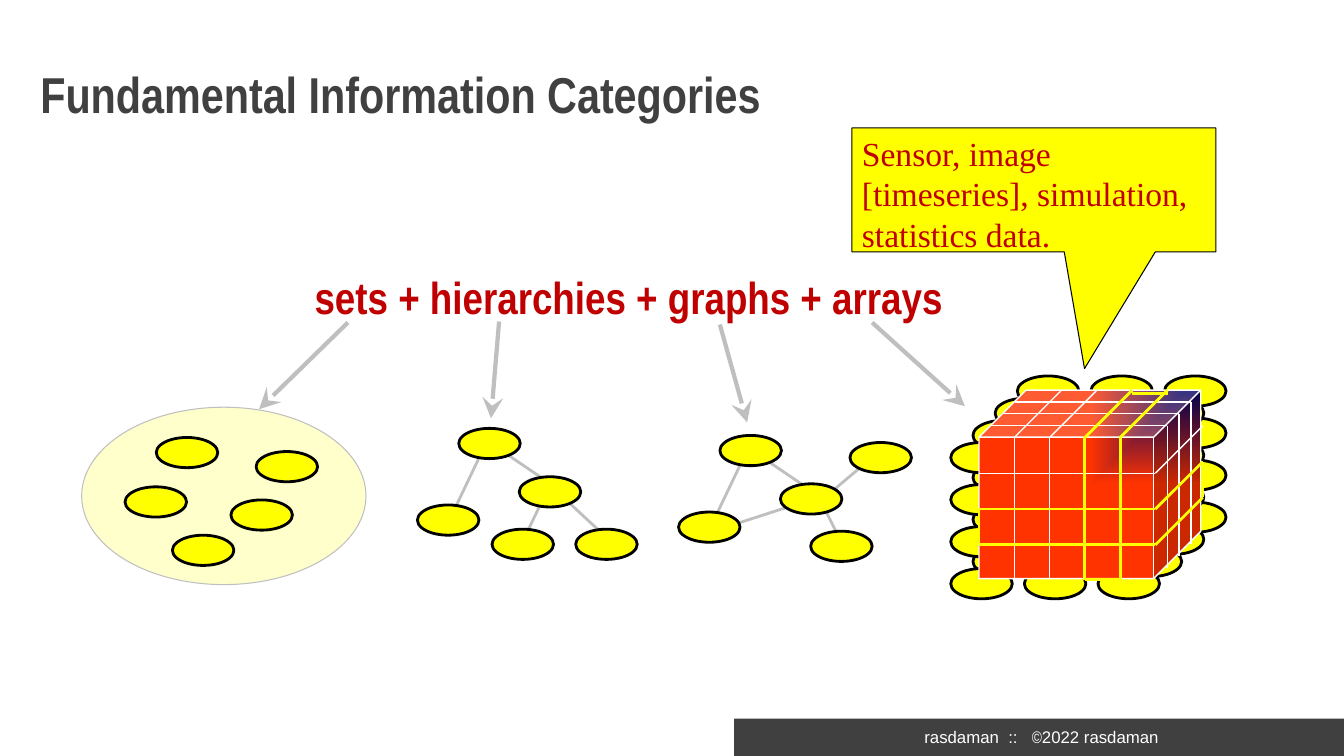
from pptx import Presentation
from pptx.util import Inches, Pt
from pptx.dml.color import RGBColor
from pptx.enum.shapes import MSO_SHAPE as SHAPE, MSO_CONNECTOR as CONN
from pptx.enum.text import MSO_ANCHOR as ANCHOR, PP_ALIGN as ALIGN
from pptx.oxml import parse_xml
from pptx.oxml.ns import qn, nsdecls
from lxml.etree import SubElement

THEME = dict(dark="404040", red="C00000", grey="BFBFBF", yellow="FFFF00",
             pale="FFFFCC", white="FFFFFF", black="000000",
             cube_near="000066", cube_far="FF3300",
             title=36, heading=32, callout=24, footer=12,
             narrow="Arial Narrow", sans="Arial", serif="Times New Roman")

prs = Presentation()
prs.slide_width, prs.slide_height = Inches(13.33), Inches(7.5)
s = prs.slides.add_slide(prs.slide_layouts[6])
CELL = prs.slide_height / 75  # square grid, 75 rows high


def add_shape(kind, x, y, w, h, fill, line=None, width=2):
    sp = s.shapes.add_shape(kind, *(round(v * CELL) for v in (x, y, w, h)))
    sp.shadow.inherit = False
    sp.fill.solid()
    sp.fill.fore_color.rgb = RGBColor.from_string(THEME[fill])
    if line:
        sp.line.color.rgb = RGBColor.from_string(THEME[line])
        sp.line.width = Pt(width)
    else:
        sp.line.fill.background()
    return sp


def add_line(x1, y1, x2, y2, color, width):
    c = s.shapes.add_connector(CONN.STRAIGHT,
                               *(round(v * CELL) for v in (x1, y1, x2, y2)))
    c.line.color.rgb = RGBColor.from_string(THEME[color])
    c.line.width = Pt(width)
    SubElement(c._element.spPr, qn("a:effectLst"))
    return c


# Footer bar
add_shape(SHAPE.RECTANGLE, 72.8, 71.3, 60.5, 3.7, "dark")

# Footer, title and heading: place, anchor, alignment, inset, style, runs
texts = [
    ((73.2, 71.6, 60.2, 3.1), ANCHOR.TOP, ALIGN.CENTER, 0.5, "footer", "white", False,
     [("rasdaman  ::   ", "sans"), ("©", "narrow"), ("2022 rasdaman", "sans")]),
    ((4, 3, 119.9, 12.5), ANCHOR.MIDDLE, ALIGN.LEFT, 0, "title", "dark", True,
     [("Fundamental Information Categories", "narrow")]),
    ((31.2, 26.8, 98.6, 6), ANCHOR.TOP, ALIGN.LEFT, 0, "heading", "red", True,
     [("sets + hierarchies + graphs + arrays", "narrow")]),
]
for place, anchor, align, inset, size, color, bold, runs in texts:
    tf = s.shapes.add_textbox(*(round(v * CELL) for v in place)).text_frame
    tf.word_wrap = True
    tf.vertical_anchor = anchor
    tf.margin_top = tf.margin_bottom = round(inset * CELL)
    tf.margin_left = tf.margin_right = round(2 * inset * CELL)
    p = tf.paragraphs[0]
    p.alignment = align
    for text, font in runs:
        r = p.add_run()
        r.text = text
        r.font.name = THEME[font]
        r.font.size = Pt(THEME[size])
        r.font.bold = bold
        r.font.color.rgb = RGBColor.from_string(THEME[color])

# Nodes: the array's stack from back to front, then set, hierarchy and graph
NODE_W, NODE_H = 6.1, 3
array_nodes = [(100.9 - 2.2 * layer + 7.3 * col, 37.3 + 2.2 * layer + 4.17 * row)
               for layer in range(4) for row in range(4) for col in range(3)]
set_nodes = [(17.1, 53.1), (25.4, 44.8), (12.4, 48.3), (15.5, 43.4), (22.9, 49.6)]
tree_nodes = [(48.8, 52.5), (57.1, 52.5), (41.4, 50.1), (45.5, 42.5), (51.5, 47.3)]
graph_nodes = [(80.4, 52.7), (84.3, 43.9), (67.3, 50.8), (71.4, 43.2), (77.4, 48)]
edges = [
    (48.1, 44.2, 44.9, 50.9), (49, 44.2, 54.6, 48),
    (54.1, 49, 51.8, 53.8), (55.5, 49, 61.1, 54.2),
    (81.1, 49.1, 83.7, 54.3), (74, 44.9, 70.8, 51.6), (74.9, 44.9, 80.5, 48.7),
    (80, 49.7, 72.9, 52), (81.4, 49.7, 85.3, 46.4),
]
add_shape(SHAPE.OVAL, 8.1, 40.4, 28.2, 17.6, "pale", "grey", 0.75)
for edge in edges:
    add_line(*edge, "grey", 2)
for x, y in array_nodes + set_nodes + tree_nodes + graph_nodes:
    add_shape(SHAPE.OVAL, x, y, NODE_W, NODE_H, "yellow", "black")

# Cube with a gradient spreading from its top right corner
cube = add_shape(SHAPE.CUBE, 97.1, 38.7, 22, 18.7, "cube_far", "white", 1)
cube.adjustments[0] = 0.25
solid = cube._element.spPr.find(qn("a:solidFill"))
solid.getparent().replace(solid, parse_xml(
    f'<a:gradFill {nsdecls("a")} rotWithShape="1"><a:gsLst>'
    f'<a:gs pos="0"><a:srgbClr val="{THEME["cube_near"]}"/></a:gs>'
    f'<a:gs pos="100000"><a:srgbClr val="{THEME["cube_far"]}"/></a:gs></a:gsLst>'
    '<a:path path="rect"><a:fillToRect l="100000" b="100000"/></a:path></a:gradFill>'))

# Cube grid: front face corners, cell size and depth
LEFT, RIGHT, TOP, BOTTOM, DEPTH = 97.1, 114.6, 43.4, 57.5, 4.7
xs = [LEFT + 3.5 * i for i in range(5)]
ys = [TOP + 3.55 * i for i in range(4)]
grid = []
for y in ys[1:]:
    grid += [(LEFT, y, RIGHT, y), (RIGHT, y, RIGHT + DEPTH, y - DEPTH)]
for x in xs[1:]:
    grid += [(x, TOP, x, BOTTOM), (x, TOP, x + DEPTH, TOP - DEPTH)]
for step in (DEPTH * i / 4 for i in range(1, 4)):
    x, y = RIGHT + step, TOP - step
    grid += [(x, y, x, y + BOTTOM - TOP), (x, y, LEFT + step, y)]
for line in grid:
    add_line(*line, "white", 1)

# Highlighted row and column slices
slices = []
for y in ys[2:]:
    slices += [(LEFT, y, RIGHT, y), (RIGHT, y, RIGHT + DEPTH, y - DEPTH)]
for x in xs[3:]:
    slices += [(x, BOTTOM, x, TOP), (x, TOP, x + DEPTH, TOP - DEPTH)]
slices += [(LEFT, ys[2], LEFT, ys[3]),
           (RIGHT + DEPTH, ys[2] - DEPTH, RIGHT + DEPTH, ys[3] - DEPTH),
           (xs[3], BOTTOM, xs[4], BOTTOM),
           (xs[3] + DEPTH, 39, xs[4] + DEPTH, 39)]
for line in slices:
    add_line(*line, "yellow", 2)

# Arrows from the heading to the four categories
for arrow in [(34.5, 32, 25.7, 40.6), (49.5, 31.9, 48.7, 41.5),
              (71.4, 32.2, 74.1, 41.9), (86.5, 32, 95.7, 40.3)]:
    c = add_line(*arrow, "grey", 3)
    SubElement(c.line._get_or_add_ln(), qn("a:tailEnd"), type="stealth", w="lg", len="lg")

# Callout
sp = add_shape(SHAPE.RECTANGULAR_CALLOUT, 84.5, 12.7, 36.1, 12.3, "yellow", "black", 0.75)
sp.adjustments[0], sp.adjustments[1] = 0.139, 1.441
tf = sp.text_frame
tf.word_wrap = True
tf.vertical_anchor = ANCHOR.TOP
tf.text = "Sensor, image [timeseries], simulation, statistics data."
p = tf.paragraphs[0]
p.alignment = ALIGN.LEFT
r = p.runs[0]
r.font.name = THEME["serif"]
r.font.size = Pt(THEME["callout"])
r.font.color.rgb = RGBColor.from_string(THEME["red"])

prs.save("out.pptx")
